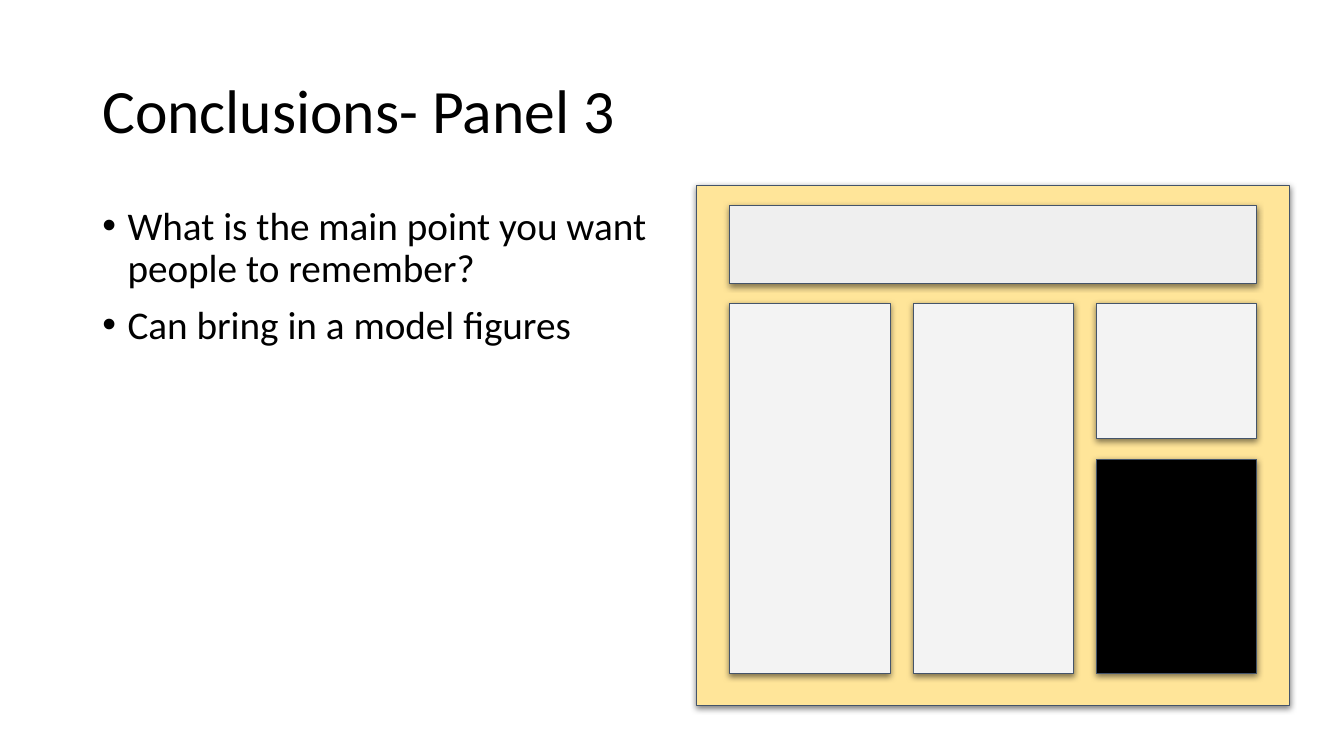
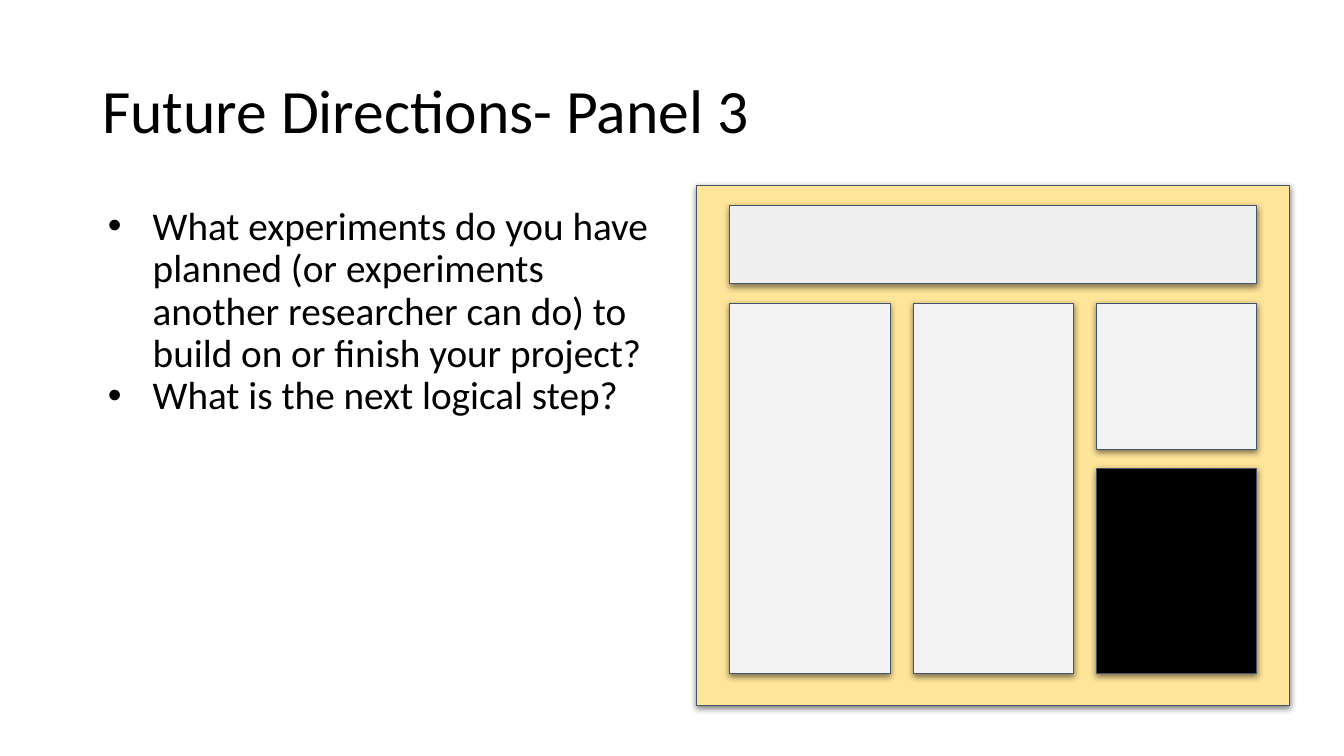
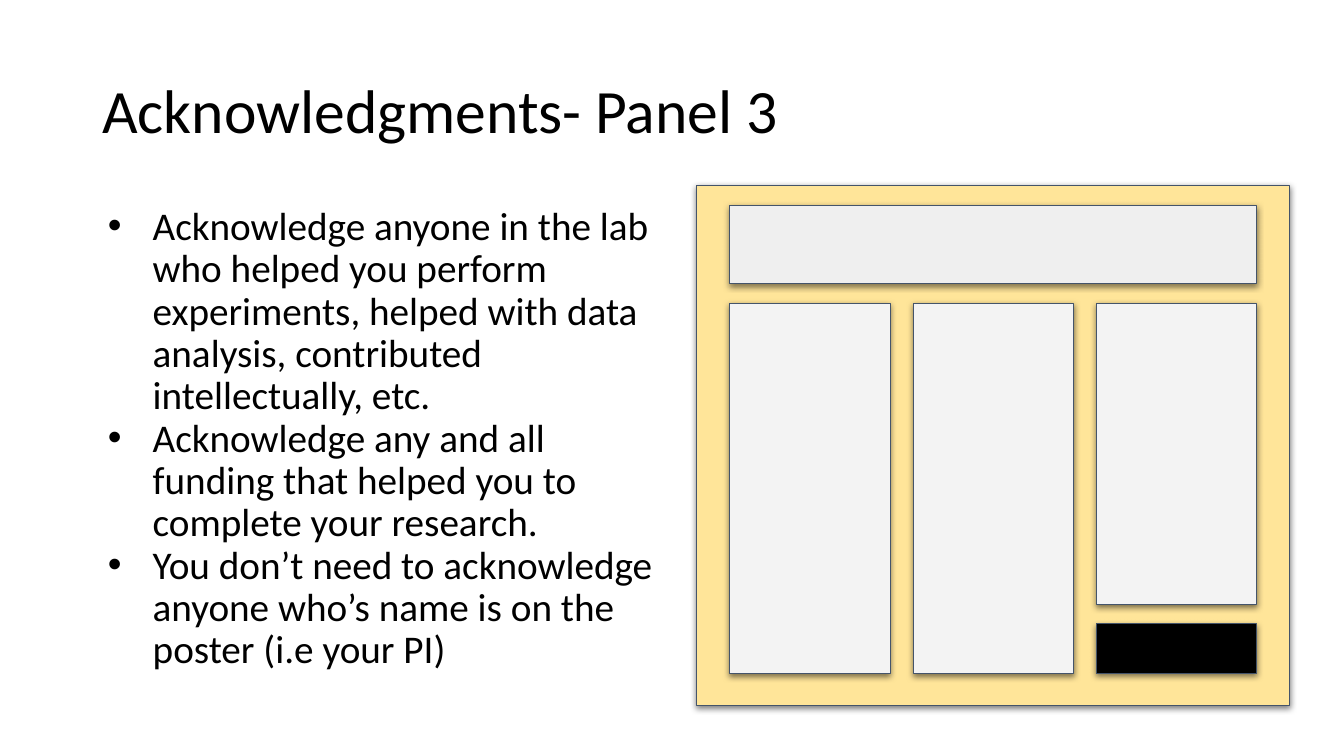
from lxml.etree import SubElement
from pptx import Presentation
from pptx.dml.color import RGBColor
from pptx.enum.shapes import MSO_SHAPE
from pptx.enum.text import MSO_ANCHOR
from pptx.oxml.ns import qn
from pptx.util import Pt

COLORS = {
    "text": "000000",
    "poster": "FFE599",
    "banner": "EFEFEF",
    "panel": "F3F3F3",
    "focus": "000000",
    "outline": "44546A",
}
FONT = "Calibri"
POSTER = (497.5, 132.5, 423.5, 371.5)
PANEL_LEFT, PANEL_TOP = 521.3, 216.7
PANEL_WIDTH, PANEL_HEIGHT = 114.5, 264.3
PANEL_PITCH = 131
BANNER_TOP, BANNER_HEIGHT = 146.9, 55.4

SLIDES = [
    {
        "title": "Conclusions- Panel 3",
        "bullets": [
            "What is the main point you want people to remember?",
            "Can bring in a model figures",
        ],
        "margin": 18, "hanging": 18, "space": 10,
        "upper": 96.5, "gap": 15,
    },
    {
        "title": "Future Directions- Panel 3",
        "bullets": [
            "What experiments do you have planned (or experiments another "
            "researcher can do) to build on or finish your project?",
            "What is the next logical step?",
        ],
        "margin": 36, "hanging": 32, "space": 0,
        "upper": 104.5, "gap": 13.5,
    },
    {
        "title": "Acknowledgments- Panel 3",
        "bullets": [
            "Acknowledge anyone in the lab who helped you perform experiments, "
            "helped with data analysis, contributed intellectually, etc.",
            "Acknowledge any and all funding that helped you to complete "
            "your research.",
            "You don’t need to acknowledge anyone who’s name is on the "
            "poster (i.e your PI)",
        ],
        "margin": 36, "hanging": 32, "space": 0,
        "upper": 215, "gap": 14,
    },
]


class Deck:
    """Hold the shared style and draw elements on the current slide."""

    def __init__(self):
        self.prs = Presentation()
        self.prs.slide_width, self.prs.slide_height = Pt(960), Pt(540)
        self.s = None

    def add_slide(self):
        self.s = self.prs.slides.add_slide(self.prs.slide_layouts[6])

    def text(self, box, lines, size, anchor=MSO_ANCHOR.TOP):
        tf = self.s.shapes.add_textbox(*map(Pt, box)).text_frame
        tf.word_wrap = True
        tf.vertical_anchor = anchor
        tf.text = "\n".join(lines)
        for p in tf.paragraphs:
            p.line_spacing = 0.9
            for r in p.runs:
                r.font.name = FONT
                r.font.size = Pt(size)
                r.font.color.rgb = RGBColor.from_string(COLORS["text"])
        return tf

    def title(self, text):
        self.text((66, 28.8, 828, 104.4), [text], 44, MSO_ANCHOR.MIDDLE)

    def bullets(self, lines, margin, hanging, space):
        tf = self.text((66, 144, 414, 342.7), lines, 28)
        for i, p in enumerate(tf.paragraphs):
            p.space_before = Pt(space if i else 0)
            pPr = p._p.get_or_add_pPr()
            pPr.set("marL", str(Pt(margin)))
            pPr.set("indent", str(-Pt(hanging)))
            color = SubElement(pPr, qn("a:buClr"))
            SubElement(color, qn("a:srgbClr"), val=COLORS["text"])
            SubElement(pPr, qn("a:buFont"), typeface="Arial")
            SubElement(pPr, qn("a:buChar"), char="•")

    def rect(self, box, color):
        sp = self.s.shapes.add_shape(MSO_SHAPE.RECTANGLE, *map(Pt, box))
        sp.fill.solid()
        sp.fill.fore_color.rgb = RGBColor.from_string(COLORS[color])
        sp.line.color.rgb = RGBColor.from_string(COLORS["outline"])
        sp.line.width = Pt(0.75)
        sp.shadow.inherit = False
        effects = sp._element.spPr.find(qn("a:effectLst"))
        shadow = SubElement(effects, qn("a:outerShdw"), blurRad=str(Pt(4.5)),
                            dist=str(Pt(1.5)), dir="5400000", algn="bl",
                            rotWithShape="0")
        shade = SubElement(shadow, qn("a:srgbClr"), val="000000")
        SubElement(shade, qn("a:alpha"), val="50000")

    def poster(self, upper, gap):
        lefts = [PANEL_LEFT + i * PANEL_PITCH for i in range(3)]
        focus_top = PANEL_TOP + upper + gap
        focus_height = PANEL_HEIGHT - upper - gap
        banner_width = 2 * PANEL_PITCH + PANEL_WIDTH
        self.rect(POSTER, "poster")
        for left in lefts[:2]:
            self.rect((left, PANEL_TOP, PANEL_WIDTH, PANEL_HEIGHT), "panel")
        self.rect((lefts[2], focus_top, PANEL_WIDTH, focus_height), "focus")
        self.rect((PANEL_LEFT, BANNER_TOP, banner_width, BANNER_HEIGHT), "banner")
        self.rect((lefts[2], PANEL_TOP, PANEL_WIDTH, upper), "panel")


def main():
    deck = Deck()
    for slide in SLIDES:
        deck.add_slide()
        deck.title(slide["title"])
        deck.bullets(slide["bullets"], slide["margin"], slide["hanging"],
                     slide["space"])
        deck.poster(slide["upper"], slide["gap"])
    deck.prs.save("out.pptx")


if __name__ == "__main__":
    main()
